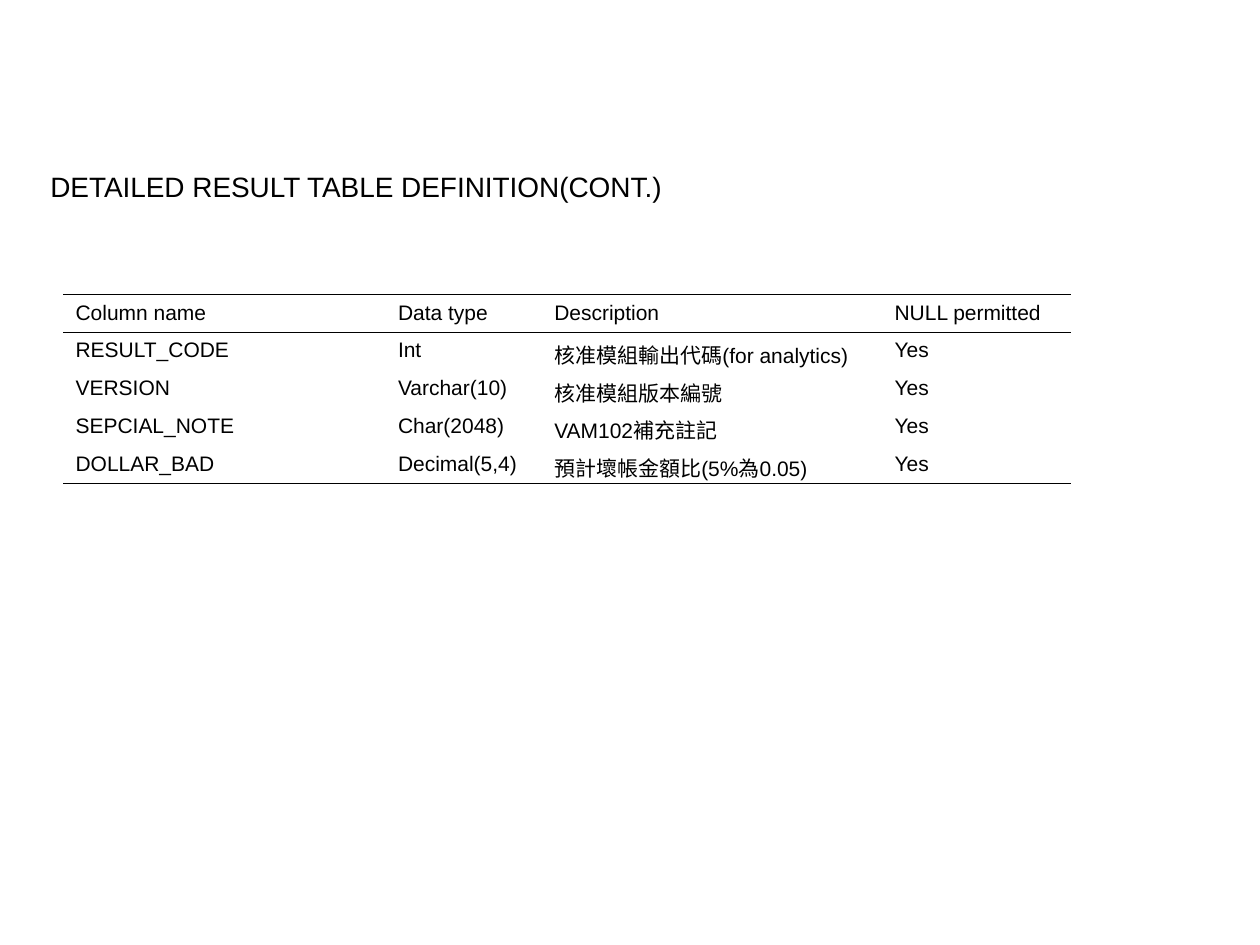
from lxml import etree
from pptx import Presentation
from pptx.dml.color import RGBColor
from pptx.enum.text import MSO_ANCHOR, MSO_AUTO_SIZE, PP_ALIGN
from pptx.oxml.ns import qn
from pptx.util import Cm, Pt

COLORS = {"text": "000000", "rule": "000000"}
FONT = "Arial"
OUTER_RULE, HEADER_RULE = 0.75, 0.45

COLUMN_WIDTHS = [6.5, 3.15, 6.86, 3.81]
ROW_HEIGHT = 0.76
ROWS = [
    ["Column name", "Data type", "Description", "NULL permitted"],
    ["RESULT_CODE", "Int", "核准模組輸出代碼(for analytics)", "Yes"],
    ["VERSION", "Varchar(10)", "核准模組版本編號", "Yes"],
    ["SEPCIAL_NOTE", "Char(2048)", "VAM102補充註記", "Yes"],
    ["DOLLAR_BAD", "Decimal(5,4)", "預計壞帳金額比(5%為0.05)", "Yes"],
]


def set_text(tf, text, size, align=PP_ALIGN.LEFT):
    p = tf.paragraphs[0]
    p.alignment = align
    r = p.add_run()
    r.text = text
    r.font.size = Pt(size)
    r.font.name = FONT
    r.font.color.rgb = RGBColor.from_string(COLORS["text"])


def set_borders(cell, top=None, bottom=None):
    """Draw the given rules, in points, and clear the other sides."""
    tc_pr = cell._tc.get_or_add_tcPr()
    for tag, width in (("lnL", None), ("lnR", None), ("lnT", top), ("lnB", bottom)):
        ln = etree.SubElement(tc_pr, qn(f"a:{tag}"))
        if width is None:
            etree.SubElement(ln, qn("a:noFill"))
        else:
            ln.set("w", str(Pt(width)))
            fill = etree.SubElement(ln, qn("a:solidFill"))
            etree.SubElement(fill, qn("a:srgbClr"), val=COLORS["rule"])


def add_title(s, text, left, top, width, height):
    sp = s.shapes.title
    sp.left, sp.top, sp.width, sp.height = Cm(left), Cm(top), Cm(width), Cm(height)
    tf = sp.text_frame
    tf.word_wrap = True
    tf.auto_size = MSO_AUTO_SIZE.SHAPE_TO_FIT_TEXT
    tf.vertical_anchor = MSO_ANCHOR.TOP
    set_text(tf, text, 16)


def add_definition_table(s, left, top):
    frame = s.shapes.add_table(
        len(ROWS), len(COLUMN_WIDTHS), Cm(left), Cm(top),
        Cm(sum(COLUMN_WIDTHS)), Cm(ROW_HEIGHT * len(ROWS)))
    table = frame.table
    table.first_row = table.horz_banding = False
    for column, width in zip(table.columns, COLUMN_WIDTHS):
        column.width = Cm(width)

    rules = [OUTER_RULE, HEADER_RULE] + [None] * (len(ROWS) - 2) + [OUTER_RULE]
    for i, values in enumerate(ROWS):
        table.rows[i].height = Cm(ROW_HEIGHT)
        for j, value in enumerate(values):
            cell = table.cell(i, j)
            set_borders(cell, top=rules[i], bottom=rules[i + 1])
            cell.fill.background()
            set_text(cell.text_frame, value, 12)


def main():
    prs = Presentation()
    prs.slide_width, prs.slide_height = Cm(25.4), Cm(19.05)
    s = prs.slides.add_slide(prs.slide_layouts[5])
    add_title(s, "DETAILED RESULT TABLE DEFINITION(CONT.)", 0.76, 3.3, 23.6, 0.94)
    add_definition_table(s, 1.27, 5.94)
    prs.save("out.pptx")


if __name__ == "__main__":
    main()
